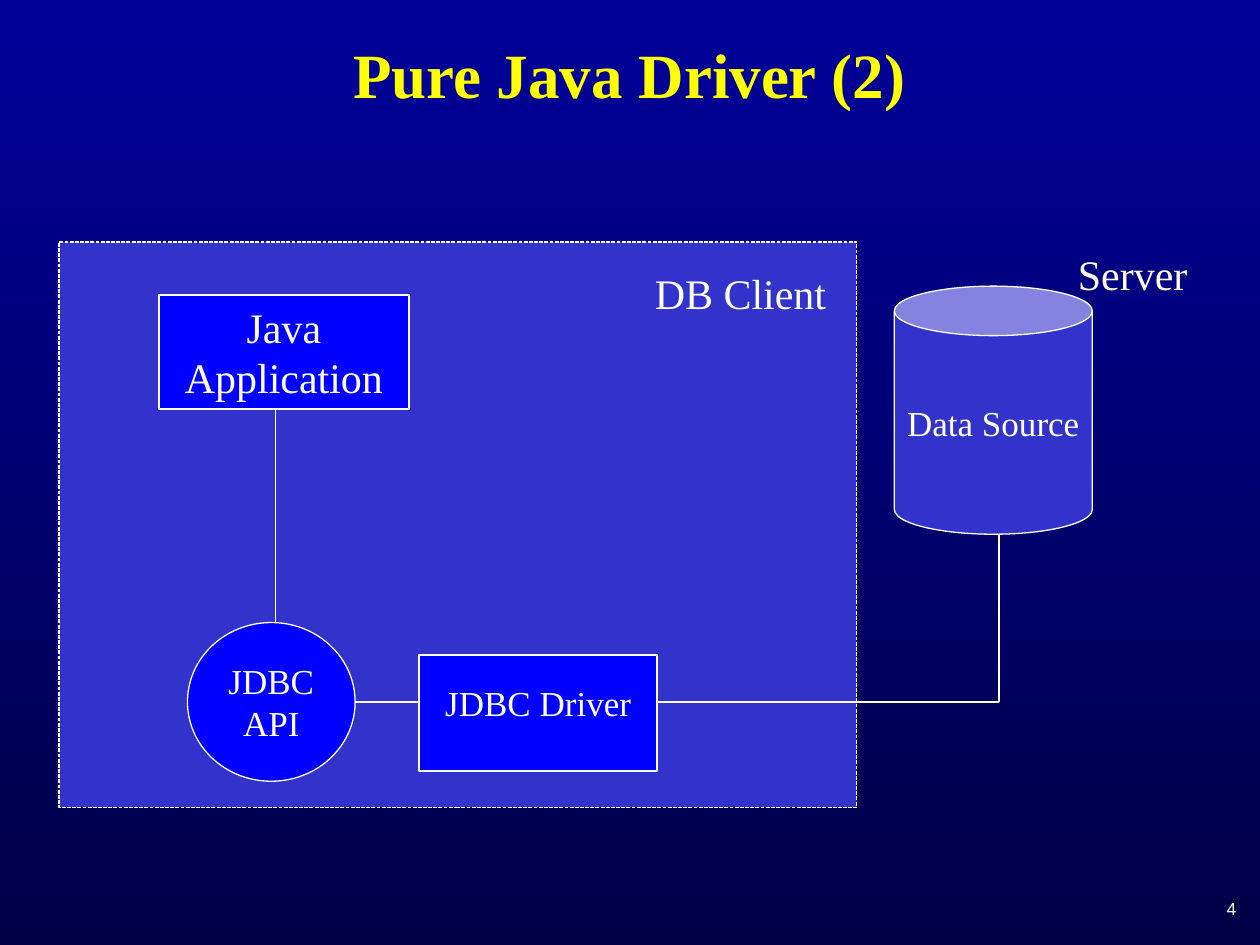
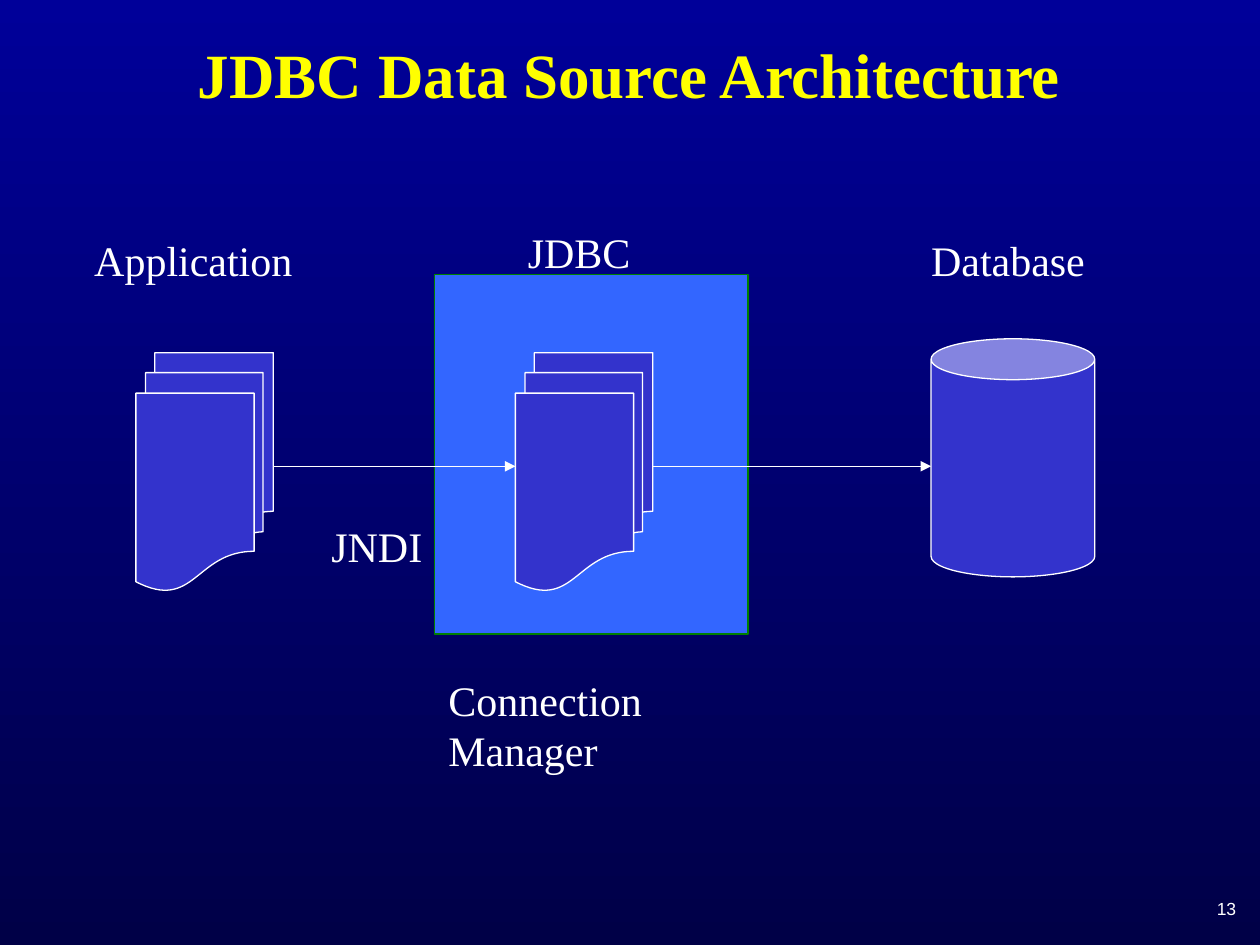
from lxml.etree import SubElement
from pptx import Presentation
from pptx.dml.color import RGBColor
from pptx.enum.dml import MSO_LINE
from pptx.enum.shapes import MSO_CONNECTOR, MSO_SHAPE
from pptx.enum.text import MSO_ANCHOR, PP_ALIGN
from pptx.oxml.ns import qn
from pptx.util import Cm, Pt

WHITE = RGBColor(0xFF, 0xFF, 0xFF)
YELLOW = RGBColor(0xFF, 0xFF, 0x00)
GREEN = RGBColor(0x00, 0x80, 0x00)
BLUE = RGBColor(0x00, 0x00, 0xFF)
INDIGO = RGBColor(0x33, 0x33, 0xCC)
SKY = RGBColor(0x33, 0x66, 0xFF)
BG_TOP = RGBColor(0x00, 0x00, 0x99)
BG_BOTTOM = RGBColor(0x00, 0x00, 0x47)
SERIF = "Times New Roman"
SANS = "Arial"
INSET_X, INSET_Y = 0.25, 0.13
THIN = 0.75


def set_background(prs):
    fill = prs.slide_master.background.fill
    fill.gradient()
    fill.gradient_angle = 270
    for stop, color in zip(fill.gradient_stops, (BG_TOP, BG_BOTTOM)):
        stop.color.rgb = color


def set_text(sp, text, size, color=WHITE, font=SERIF, bold=False,
             align=PP_ALIGN.CENTER, anchor=MSO_ANCHOR.MIDDLE,
             inset_x=0, inset_y=0, wrap=True):
    tf = sp.text_frame
    tf.text = text
    tf.word_wrap = wrap
    tf.vertical_anchor = anchor
    tf.margin_left = tf.margin_right = Cm(inset_x)
    tf.margin_top = tf.margin_bottom = Cm(inset_y)
    for p in tf.paragraphs:
        p.alignment = align
        for r in p.runs:
            r.font.name = font
            r.font.size = Pt(size)
            r.font.bold = bold
            r.font.color.rgb = color


def add_text(s, box, text, size, **style):
    sp = s.shapes.add_textbox(*map(Cm, box))
    set_text(sp, text, size, **style)


def add_label(s, box, text):
    add_text(s, box, text, 24, align=PP_ALIGN.LEFT, anchor=MSO_ANCHOR.TOP,
             inset_x=INSET_X, inset_y=INSET_Y, wrap=False)


def add_block(s, kind, box, fill, line=WHITE, weight=THIN):
    sp = s.shapes.add_shape(kind, *map(Cm, box))
    sp.shadow.inherit = False
    sp.fill.solid()
    sp.fill.fore_color.rgb = fill
    sp.line.color.rgb = line
    sp.line.width = Pt(weight)
    return sp


def add_line(s, x1, y1, x2, y2, arrow=False):
    cn = s.shapes.add_connector(MSO_CONNECTOR.STRAIGHT, *map(Cm, (x1, y1, x2, y2)))
    cn.line.color.rgb = WHITE
    cn.line.width = Pt(THIN)
    if arrow:
        SubElement(cn.line._get_or_add_ln(), qn("a:tailEnd"), type="triangle")
    SubElement(cn._element.spPr, qn("a:effectLst"))


def add_slide(prs, title, number):
    s = prs.slides.add_slide(prs.slide_layouts[6])
    add_text(s, (0.3, 0.2, 24.77, 2.54), title, 36, color=YELLOW, bold=True)
    add_text(s, (19.89, 17.98, 5.28, 1.07), number, 10, font=SANS,
             align=PP_ALIGN.RIGHT, anchor=MSO_ANCHOR.TOP,
             inset_x=INSET_X, inset_y=INSET_Y)
    return s


def draw_client(s, box, link_y):
    x, y, w, h = box
    client = add_block(s, MSO_SHAPE.RECTANGLE, box, INDIGO)
    client.line.dash_style = MSO_LINE.SQUARE_DOT
    add_label(s, (x + 11.76, y + 0.38, 3.96, 1.27), "DB Client")

    app = add_block(s, MSO_SHAPE.RECTANGLE, (x + 2.01, y + 1.07, 5.05, 2.29), BLUE, weight=1)
    set_text(app, "Java\nApplication", 24)
    api = add_block(s, MSO_SHAPE.OVAL, (x + 2.59, link_y - 1.6, 3.38, 3.2), BLUE)
    set_text(api, "JDBC\nAPI", 20)
    driver = add_block(s, MSO_SHAPE.RECTANGLE, (x + 7.26, y + 8.33, 4.8, 2.34), BLUE, weight=1)
    set_text(driver, "JDBC Driver", 20, anchor=MSO_ANCHOR.TOP, inset_y=0.52)

    add_line(s, x + 4.37, y + 3.36, x + 4.37, link_y - 1.6)
    add_line(s, x + 5.97, link_y, x + 7.26, link_y)
    return x + 7.26 + 4.8


def draw_server(s, box, link_x, link_y):
    x, y, w, h = box
    can = add_block(s, MSO_SHAPE.CAN, (x, y + 0.89, w, h - 0.89), INDIGO)
    set_text(can, "Data Source", 20, wrap=False)
    add_label(s, (x + 3.45, y, 2.72, 1.27), "Server")
    drop_x = x + 2.11
    add_line(s, link_x, link_y, drop_x, link_y)
    add_line(s, drop_x, y + h, drop_x, link_y)


def draw_architecture(s, box):
    x, y, w, h = box
    doc_w, stage_h = 2.77, 4.8
    app_x, jdbc_x, db_x = x, x + 7.65, x + 16.03
    flow_y = y + 2.57

    add_block(s, MSO_SHAPE.RECTANGLE, (x + 6.02, y - 1.29, 6.32, 7.24), SKY, GREEN)
    for doc_x in (app_x, jdbc_x):
        add_block(s, MSO_SHAPE.FLOWCHART_MULTIDOCUMENT, (doc_x, y + 0.28, doc_w, stage_h), INDIGO)
    add_block(s, MSO_SHAPE.CAN, (db_x, y, w - 16.03, stage_h), INDIGO)
    for start, end in ((app_x, jdbc_x), (jdbc_x, db_x)):
        add_line(s, start + doc_w, flow_y, end, flow_y, arrow=True)

    for dx, dy, width, text in (
        (-1.09, -2.23, 4.5, "Application"),
        (7.65, -2.39, 2.57, "JDBC"),
        (15.78, -2.23, 3.61, "Database"),
        (3.69, 3.53, 2.34, "JNDI"),
        (6.05, 6.63, 7.62, "Connection Manager"),
    ):
        add_label(s, (x + dx, y + dy, width, 1.27), text)


def main():
    prs = Presentation()
    prs.slide_width, prs.slide_height = Cm(25.4), Cm(19.05)
    set_background(prs)

    s = add_slide(prs, "Pure Java Driver (2)", "4")
    link_y = 14.15
    driver_right = draw_client(s, (1.19, 4.88, 16.08, 11.4), link_y)
    draw_server(s, (18.03, 4.88, 3.99, 5.89), driver_right, link_y)

    s = add_slide(prs, "JDBC Data Source Architecture", "13")
    draw_architecture(s, (2.74, 6.83, 19.33, 4.8))

    prs.save("out.pptx")


if __name__ == "__main__":
    main()
